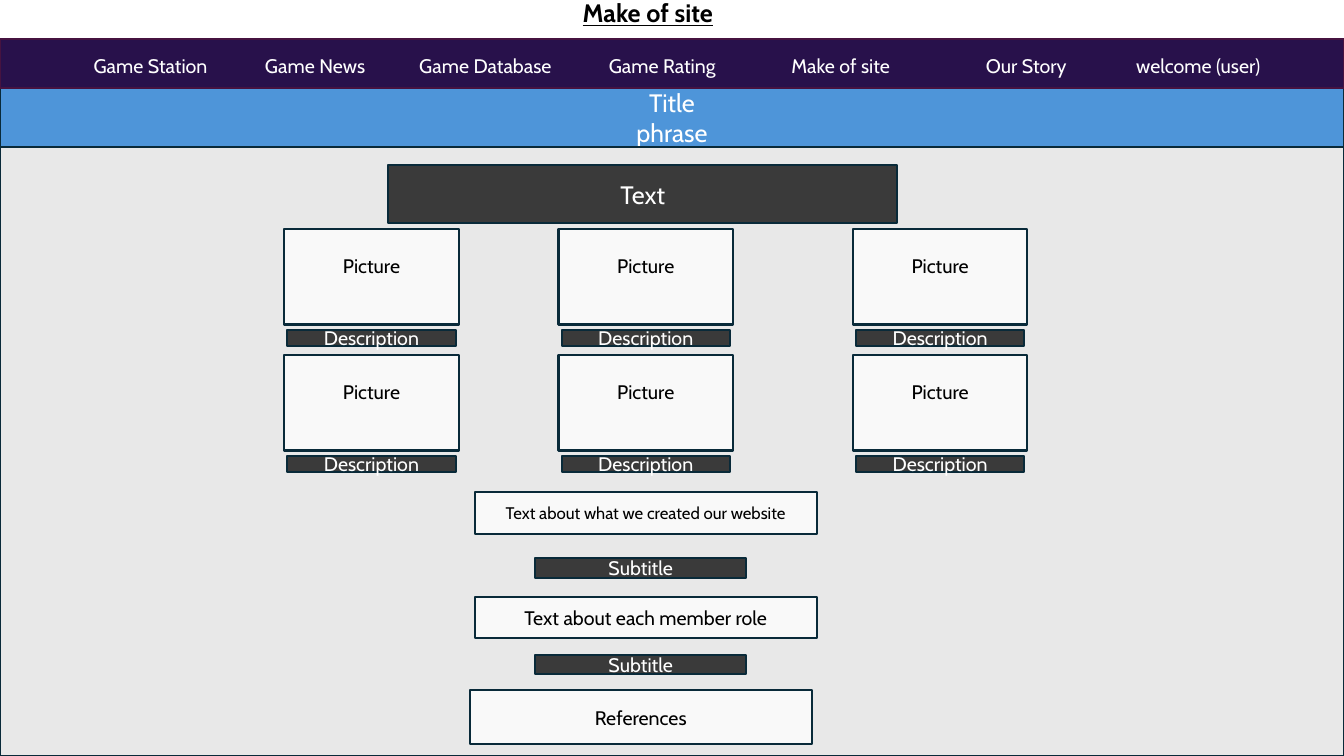
import dataclasses
import itertools
import typing

import pptx
import pptx.dml.color
import pptx.enum.shapes
import pptx.enum.text
import pptx.oxml.ns
import pptx.util
from lxml import etree

Inches = pptx.util.Inches
Pt = pptx.util.Pt
RGBColor = pptx.dml.color.RGBColor
PP_ALIGN = pptx.enum.text.PP_ALIGN
MSO_ANCHOR = pptx.enum.text.MSO_ANCHOR

WHITE = RGBColor(0xFF, 0xFF, 0xFF)
BLACK = RGBColor(0x00, 0x00, 0x00)
BLUE = RGBColor(0x4E, 0x95, 0xD9)
GRAY = RGBColor(0xE8, 0xE8, 0xE8)
DARK = RGBColor(0x3A, 0x3A, 0x3A)
PALE = RGBColor(0xF9, 0xF9, 0xF9)
PURPLE = RGBColor(0x28, 0x11, 0x4B)
PLUM = RGBColor(0x46, 0x13, 0x40)
NAVY = RGBColor(0x09, 0x2A, 0x39)

NAV_ITEMS = {
    "Game Station": 0.83,
    "Game News": 2.53,
    "Game Database": 4.06,
    "Game Rating": 5.94,
    "Make of site": 7.75,
    "Our Story": 9.68,
    "welcome (user)": 11.17,
}
PICTURE_LEFTS = (2.82, 5.54, 8.46)
PICTURE_TOPS = (2.27, 3.52)


@dataclasses.dataclass(frozen=True)
class Box:
    left: float
    top: float
    width: float
    height: float
    fill: RGBColor
    text: str = ""
    size: float = 14
    color: RGBColor = WHITE
    line: RGBColor = NAVY
    align: PP_ALIGN = PP_ALIGN.CENTER
    margins: typing.Mapping[str, float] = dataclasses.field(default_factory=dict)


def write_text(sp, text: str, align: PP_ALIGN, font: dict, margins: typing.Mapping[str, float]) -> None:
    tf = sp.text_frame
    frame = {
        "word_wrap": True,
        "auto_size": pptx.enum.text.MSO_AUTO_SIZE.NONE,
        "vertical_anchor": MSO_ANCHOR.MIDDLE,
    }
    insets = {"margin_left": 0.1, "margin_right": 0.1, "margin_top": 0.05, "margin_bottom": 0.05}
    insets.update(margins)
    frame.update({name: Inches(value) for name, value in insets.items()})
    for name, value in frame.items():
        setattr(tf, name, value)
    p = tf.paragraphs[0]
    p.text = text
    p.alignment = align
    color = font.pop("color")
    for r in p.runs:
        r.font.color.rgb = color
        for name, value in font.items():
            setattr(r.font, name, value)


def draw_box(s, box: Box):
    sp = s.shapes.add_shape(
        pptx.enum.shapes.MSO_SHAPE.RECTANGLE,
        Inches(box.left), Inches(box.top), Inches(box.width), Inches(box.height),
    )
    sp.shadow.inherit = False
    sp.fill.solid()
    sp.fill.fore_color.rgb = box.fill
    sp.line.color.rgb = box.line
    sp.line.width = Pt(1.5)
    if box.text:
        font = {"name": "Cabin", "size": Pt(box.size), "color": box.color}
        write_text(sp, box.text, box.align, font, box.margins)
    return sp


def draw_title(s) -> None:
    sp = s.shapes.title
    place = {"left": 4.71, "top": 0, "width": 3.43, "height": 0.25}
    for name, value in place.items():
        setattr(sp, name, Inches(value))
    sp.fill.solid()
    sp.fill.fore_color.rgb = WHITE
    font = {"name": "Cabin", "size": Pt(18), "color": BLACK, "bold": True, "underline": True}
    write_text(sp, "Make of site", PP_ALIGN.CENTER, font, {})


def draw_nav(s) -> None:
    text = "".join(f"\t{item}" for item in NAV_ITEMS)
    sp = draw_box(s, Box(0, 0.39, 13.33, 0.48, PURPLE, text, line=PLUM,
                         align=PP_ALIGN.LEFT, margins={"margin_top": 0.09}))
    qn = pptx.oxml.ns.qn
    pPr = sp.text_frame.paragraphs[0]._p.get_or_add_pPr()
    tabs = etree.SubElement(pPr, qn("a:tabLst"))
    for pos in NAV_ITEMS.values():
        etree.SubElement(tabs, qn("a:tab"), pos=str(Inches(pos)), algn="l")


def main() -> None:
    prs = pptx.Presentation()
    prs.slide_width = Inches(13.33)
    prs.slide_height = Inches(7.5)
    s = prs.slides.add_slide(prs.slide_layouts[5])
    draw_title(s)

    boxes = [
        Box(0, 0.86, 13.33, 0.61, BLUE, "Title\vphrase", 18),
        Box(0, 1.46, 13.33, 6.04, GRAY),
        Box(3.85, 1.64, 5.05, 0.57, DARK, "Text", 18),
    ]
    for top, left in itertools.product(PICTURE_TOPS, PICTURE_LEFTS):
        boxes += [
            Box(left, top, 1.73, 0.95, PALE, "Picture", color=BLACK, margins={"margin_bottom": 0.26}),
            Box(left + 0.03, top + 1, 1.67, 0.16, DARK, "Description"),
        ]
    boxes += [
        Box(4.71, 4.88, 3.39, 0.42, PALE, "Text about what we created our website", 12, BLACK),
        Box(4.71, 5.92, 3.39, 0.41, PALE, "Text about each member role", color=BLACK),
        Box(4.66, 6.85, 3.39, 0.53, PALE, "References", color=BLACK),
    ]
    boxes += [Box(5.31, top, 2.09, 0.19, DARK, "Subtitle") for top in (5.54, 6.5)]
    for box in boxes:
        draw_box(s, box)
    draw_nav(s)
    prs.save("out.pptx")


if __name__ == "__main__":
    main()
